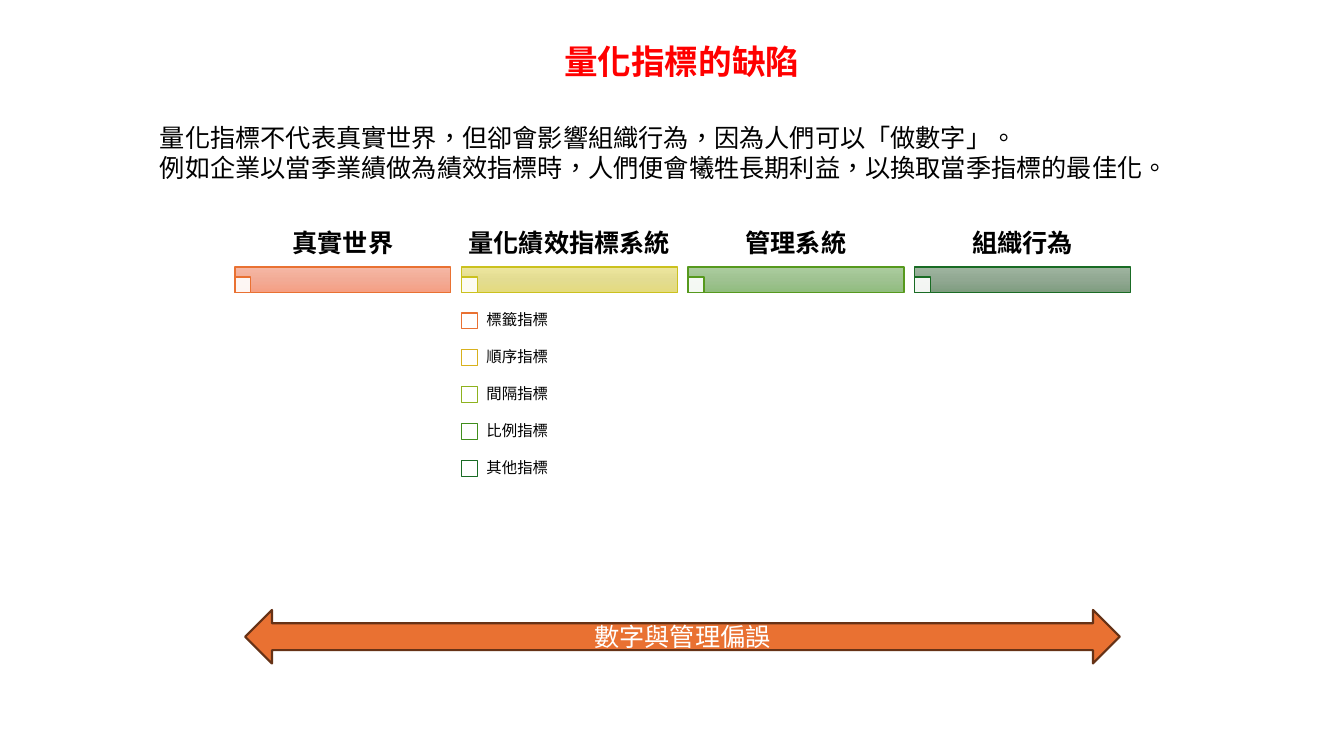
from copy import deepcopy
from dataclasses import dataclass

from lxml.etree import SubElement
from pptx import Presentation
from pptx.dml.color import RGBColor
from pptx.enum.shapes import MSO_SHAPE as Geo
from pptx.enum.text import MSO_ANCHOR as Anchor, PP_ALIGN as Align
from pptx.oxml.ns import qn
from pptx.util import Cm, Pt

HAN = "Noto Sans CJK SC"
LATIN = "Cabin"
LEFT, PITCH, WIDTH = 5.92, 5.71, 5.44
BAR_TOP, BAR_HIGH = 6.73, 0.65
BOX = 0.4
ROW_TOP, ROW_HIGH = 7.62, 0.93


@dataclass
class Stage:
    title: str
    line: str
    shades: tuple[str, str, str]


@dataclass
class Metric:
    label: str
    line: str


STAGES = [
    Stage("真實世界", "E97132", ("F5B8A5", "F2AB96", "F59E82")),
    Stage("量化績效指標系統", "CBC11E", ("EDE69E", "E3DC91", "E4DB7D")),
    Stage("管理系統", "56991D", ("ABCC9E", "9FC291", "8FBC7D")),
    Stage("組織行為", "196B24", ("9EB49F", "91A892", "7D9C7E")),
]
METRICS = [
    Metric("標籤指標", "E97132"),
    Metric("順序指標", "D8B11D"),
    Metric("間隔指標", "8EB21E"),
    Metric("比例指標", "408E1C"),
    Metric("其他指標", "196B24"),
]


def rgb(code: str) -> RGBColor:
    return RGBColor.from_string(code)


def write(para, text: str, size: float, color: str = "000000",
          bold: bool = False, face: str = LATIN, align=Align.LEFT) -> None:
    run = para.add_run()
    run.text = text
    run._r.get_or_add_rPr().set("lang", "zh-TW")
    para.alignment = align
    font = para.font
    font.size, font.bold, font.name = Pt(size), bold, face
    font.color.rgb = rgb(color)
    props = para._p.pPr.find(qn("a:defRPr"))
    SubElement(props, qn("a:ea")).set("typeface", HAN)


def shape(slide, kind, x: float, y: float, w: float, h: float,
          line: str, weight: float = 1):
    item = slide.shapes.add_shape(kind, Cm(x), Cm(y), Cm(w), Cm(h))
    item.shadow.inherit = False
    item.line.color.rgb = rgb(line)
    item.line.width = Pt(weight)
    return item


def shade(item, colors: tuple[str, str, str]) -> None:
    """Fill from top to bottom through three colours."""
    fill = item.fill
    fill.gradient()
    fill.gradient_angle = 270
    first = item._element.spPr.find(".//" + qn("a:gs"))
    first.addnext(deepcopy(first))
    for stop, color, spot in zip(fill.gradient_stops, colors, (0, 0.5, 1)):
        stop.color.rgb = rgb(color)
        stop.position = spot


def square(slide, x: float, y: float, line: str, alpha: int = 100) -> None:
    """Draw a white box, see-through when alpha is below 100 percent."""
    item = shape(slide, Geo.RECTANGLE, x, y, BOX, BOX, line)
    item.fill.solid()
    item.fill.fore_color.rgb = rgb("FFFFFF")
    if alpha < 100:
        white = item._element.spPr.find(".//" + qn("a:srgbClr"))
        SubElement(white, qn("a:alpha")).set("val", str(alpha * 1000))


def label(slide, text: str, x: float, y: float, w: float, h: float,
          pad: tuple[float, float], size: float, **style) -> None:
    frame = slide.shapes.add_textbox(Cm(x), Cm(y), Cm(w), Cm(h)).text_frame
    frame.word_wrap = True
    frame.vertical_anchor = Anchor.MIDDLE
    frame.margin_left = frame.margin_right = Cm(pad[0])
    frame.margin_top = frame.margin_bottom = Cm(pad[1])
    para = frame.paragraphs[0]
    para.line_spacing = 0.9
    write(para, text, size, **style)


def intro(slide) -> None:
    area = slide.shapes.add_textbox(Cm(3.78), Cm(0.91), Cm(26.8), Cm(3.84))
    frame = area.text_frame
    frame.word_wrap = False
    write(frame.paragraphs[0], "量化指標的缺陷", 24, "FF0000", True, HAN,
          Align.CENTER)
    lines = [
        "量化指標不代表真實世界，但卻會影響組織行為，因為人們可以「做數字」。",
        "例如企業以當季業績做為績效指標時，人們便會犧牲長期利益，以換取當季指標的最佳化。",
    ]
    for text, gap in zip(lines, (29, 0)):
        para = frame.add_paragraph()
        para.space_before = Pt(gap)
        write(para, text, 18, face=HAN)


def column(slide, stage: Stage, x: float) -> None:
    bar = shape(slide, Geo.RECTANGLE, x, BAR_TOP, WIDTH, BAR_HIGH, stage.line)
    shade(bar, stage.shades)
    square(slide, x, BAR_TOP + BAR_HIGH - BOX, stage.line, 90)
    label(slide, stage.title, x, 5.59, WIDTH, 1.14, (0.1, 0.07), 18,
          bold=True, align=Align.CENTER)


def row(slide, metric: Metric, x: float, y: float) -> None:
    square(slide, x, y + (ROW_HIGH - BOX) / 2, metric.line)
    label(slide, metric.label, x + BOX, y, WIDTH - BOX, ROW_HIGH,
          (0.23, 0.23), 11)


def arrow(slide) -> None:
    item = shape(slide, Geo.LEFT_RIGHT_ARROW, 6.18, 15.37, 22.04, 1.35,
                 "663216", 1.5)
    item.fill.solid()
    item.fill.fore_color.rgb = rgb("E97132")
    frame = item.text_frame
    frame.vertical_anchor = Anchor.MIDDLE
    write(frame.paragraphs[0], "數字與管理偏誤", 18, "FFFFFF",
          align=Align.CENTER)


def main() -> None:
    deck = Presentation()
    deck.slide_width, deck.slide_height = Cm(33.87), Cm(19.05)
    slide = deck.slides.add_slide(deck.slide_layouts[6])
    intro(slide)
    for i, stage in enumerate(STAGES):
        column(slide, stage, LEFT + i * PITCH)
    for i, metric in enumerate(METRICS):
        row(slide, metric, LEFT + PITCH, ROW_TOP + i * ROW_HIGH)
    arrow(slide)
    deck.save("out.pptx")


if __name__ == "__main__":
    main()
